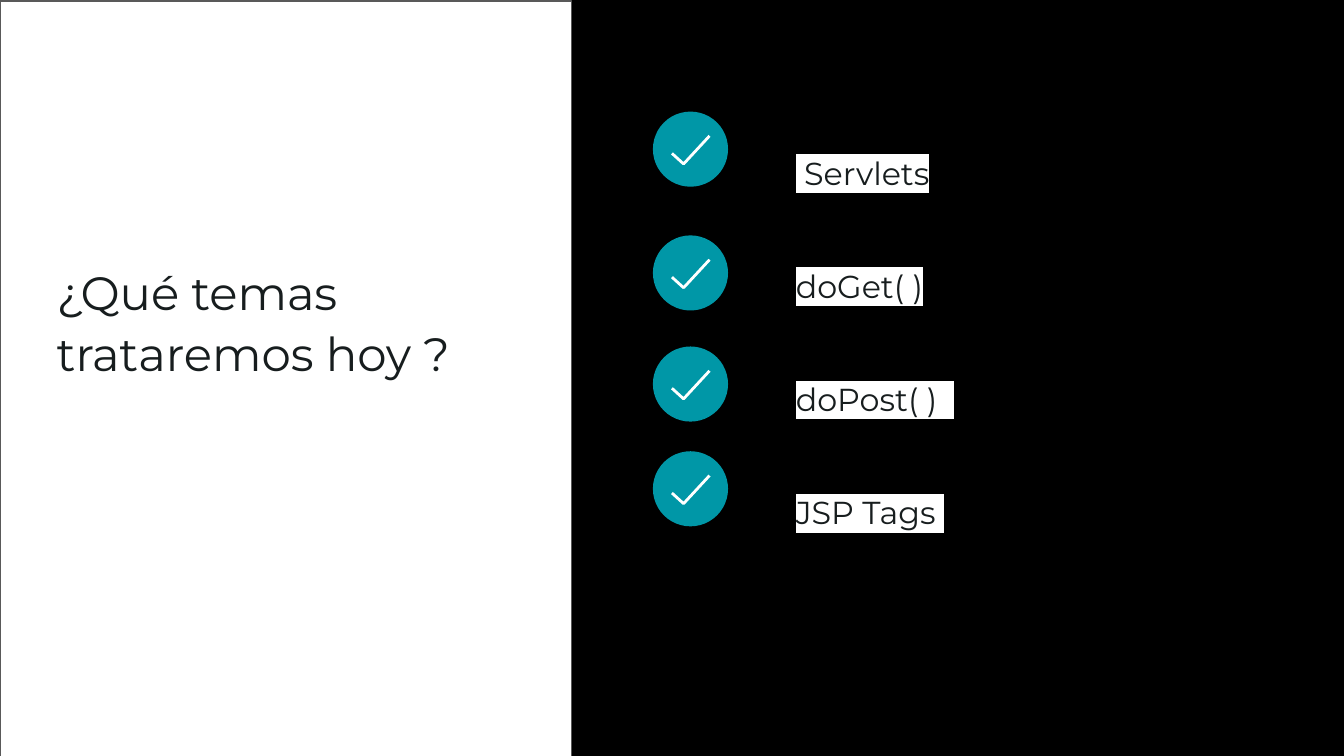
from lxml import etree
from pptx import Presentation
from pptx.dml.color import RGBColor
from pptx.enum import shapes, text
from pptx.oxml.ns import qn
from pptx.util import Cm, Pt

HUES = {"back": "000000", "panel": "FFFFFF", "edge": "595959",
        "ink": "171D1E", "teal": "0097A7", "tick": "FFFFFF"}
FONT = "Montserrat"
TOPICS = [" Servlets", "doGet( )", "doPost( )  ", "JSP Tags "]
TOPS = [2.11, 4.45, 6.55, 8.53]
LEFT, SIZE = 12.34, 1.42
TICK = [(0.36, 0.79), (0.58, 0.99), (1.07, 0.46)]


def hue(name):
    return RGBColor.from_string(HUES[name])


def paint(shape, fill=None, line=None, width=0.75):
    shape.shadow.inherit = False
    if fill:
        shape.fill.solid()
        shape.fill.fore_color.rgb = hue(fill)
    else:
        shape.fill.background()
    if line:
        shape.line.color.rgb = hue(line)
        shape.line.width = Pt(width)
    else:
        shape.line.fill.background()


def set_frame(frame):
    """Drop the insets, wrap the text and hold it at the top."""
    frame.margin_left = frame.margin_right = 0
    frame.margin_top = frame.margin_bottom = 0
    frame.word_wrap = True
    frame.auto_size = text.MSO_AUTO_SIZE.NONE
    frame.vertical_anchor = text.MSO_ANCHOR.TOP


def add_run(para, words, size):
    """Add a run of dark text on a white highlight."""
    run = para.add_run()
    run.text = words
    run.font.size = Pt(size)
    run.font.name = FONT
    run.font.color.rgb = hue("ink")
    fill = run.font._element.find(qn("a:solidFill"))
    mark = etree.Element(qn("a:highlight"))
    etree.SubElement(mark, qn("a:srgbClr"), val=HUES["panel"])
    fill.addnext(mark)


def add_panel(slide):
    """Add the white side panel behind everything else."""
    panel = slide.shapes.add_shape(
        shapes.MSO_SHAPE.RECTANGLE, 0, Cm(0.02), Cm(10.8), Cm(14.38))
    paint(panel, "panel", "edge")
    slide.shapes._spTree.insert(2, panel._element)


def set_title(slide, words):
    title = slide.shapes.title
    title.left, title.top = Cm(1.07), Cm(4.88)
    title.width, title.height = Cm(8.84), Cm(2.24)
    set_frame(title.text_frame)
    para = title.text_frame.paragraphs[0]
    para.alignment = text.PP_ALIGN.LEFT
    para.line_spacing = 1.1
    add_run(para, words, 25)


def add_check(slide, top):
    """Add a teal disc with a white tick."""
    group = slide.shapes.add_group_shape()
    disc = group.shapes.add_shape(
        shapes.MSO_SHAPE.OVAL, Cm(LEFT), Cm(top), Cm(SIZE), Cm(SIZE))
    paint(disc, "teal")
    spots = [(Cm(LEFT + x), Cm(top + y)) for x, y in TICK]
    pen = group.shapes.build_freeform(*spots[0])
    pen.add_line_segments(spots[1:], close=False)
    paint(pen.convert_to_shape(), line="tick", width=1.5)


def add_topics(slide):
    box = slide.shapes.add_textbox(Cm(15.04), Cm(2.54), Cm(9.09), Cm(8.59))
    frame = box.text_frame
    set_frame(frame)
    for i, topic in enumerate(TOPICS):
        para = frame.add_paragraph() if i else frame.paragraphs[0]
        para.line_spacing = 1.5
        para.space_after = Pt(30)
        add_run(para, topic, 17)


def main():
    deck = Presentation()
    deck.slide_width, deck.slide_height = Cm(25.4), Cm(14.29)
    slide = deck.slides.add_slide(deck.slide_layouts[5])
    slide.background.fill.solid()
    slide.background.fill.fore_color.rgb = hue("back")
    add_panel(slide)
    set_title(slide, "¿Qué temas trataremos hoy ?")
    add_topics(slide)
    for top in TOPS:
        add_check(slide, top)
    deck.save("out.pptx")


if __name__ == "__main__":
    main()
